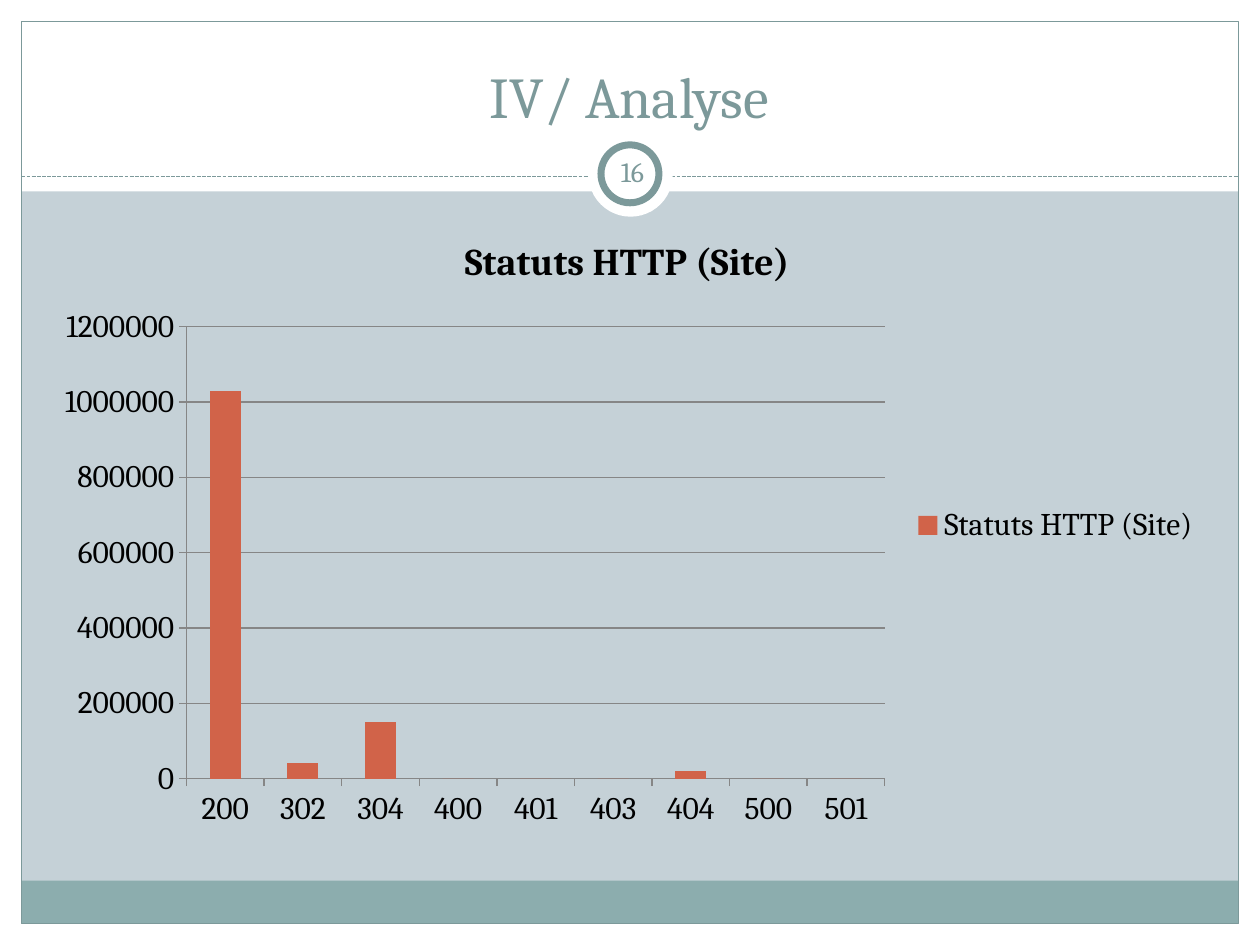
from pptx import Presentation
from pptx import util as u
from pptx.chart.data import CategoryChartData
from pptx.dml.color import RGBColor
from pptx.enum import chart as ch, dml, shapes, text
from pptx.oxml.ns import qn
from lxml import etree

WHITE = RGBColor(0xFF, 0xFF, 0xFF)
BLACK = RGBColor(0, 0, 0)
BACKGROUND = RGBColor(0xC5, 0xD1, 0xD7)
TEAL = RGBColor(0x7C, 0x99, 0x9A)
BAND = RGBColor(0x8C, 0xAD, 0xAE)
GRID = RGBColor(0x86, 0x86, 0x86)
BAR = RGBColor(0xD1, 0x63, 0x49)
FONT = "Cambria"
RECT = shapes.MSO_SHAPE.RECTANGLE
OVAL = shapes.MSO_SHAPE.OVAL
STATUSES = {"200": 1030000, "302": 40000, "304": 150000, "400": 0, "401": 0,
            "403": 0, "404": 20000, "500": 0, "501": 0}


def set_attrs(obj, **values):
    for name, value in values.items():
        setattr(obj, name, value)


def set_font(font, size, color, **extra):
    set_attrs(font, name=FONT, size=u.Pt(size), **extra)
    font.color.rgb = color


def set_line(line, color, width=0.75):
    line.color.rgb = color
    line.width = u.Pt(width)


def add_box(slide, kind, at, fill=None, line=None, width=0.75):
    sp = slide.shapes.add_shape(kind, *map(u.Inches, at))
    sp.shadow.inherit = False
    if fill is None:
        sp.fill.background()
    else:
        sp.fill.solid()
        sp.fill.fore_color.rgb = fill
    if line is None:
        sp.line.fill.background()
    else:
        set_line(sp.line, line, width)
    return sp


def add_dashed_line(slide, x1, y1, x2, y2):
    sp = slide.shapes.add_connector(shapes.MSO_CONNECTOR.STRAIGHT,
                                    *map(u.Inches, (x1, y1, x2, y2)))
    set_line(sp.line, TEAL)
    sp.line.dash_style = dml.MSO_LINE.SQUARE_DOT
    etree.SubElement(sp._element.spPr, qn("a:effectLst"))


def write_text(sp, content, size, anchor, margin):
    tf = sp.text_frame
    set_attrs(tf, word_wrap=True, auto_size=text.MSO_AUTO_SIZE.NONE,
              vertical_anchor=anchor)
    for side in ("left", "top", "right", "bottom"):
        setattr(tf, "margin_" + side, u.Inches(margin))
    p = tf.paragraphs[0]
    p.alignment = text.PP_ALIGN.CENTER
    r = p.add_run()
    r.text = content
    set_font(r.font, size, TEAL)


def add_frame(slide):
    for at in ((0, 7.33, 10, 0.17), (0, 0, 10, 1.52),
               (0, 0, 0.17, 7.5), (9.83, 0, 0.17, 7.5)):
        add_box(slide, RECT, at, WHITE)
    add_box(slide, RECT, (0.17, 6.99, 9.66, 0.34), BAND)
    add_box(slide, RECT, (0.17, 0.17, 9.66, 7.16), line=TEAL)
    add_dashed_line(slide, 0.17, 1.4, 9.83, 1.4)
    add_box(slide, OVAL, (4.67, 1.05, 0.67, 0.67), WHITE)
    add_box(slide, OVAL, (4.77, 1.15, 0.46, 0.46), WHITE, TEAL, 4)


def add_title(slide, content):
    sp = slide.shapes.title
    set_attrs(sp, left=u.Inches(0.33), top=u.Inches(0.25),
              width=u.Inches(9.33), height=u.Inches(0.83))
    write_text(sp, content, 33, text.MSO_ANCHOR.BOTTOM, 0.05)
    slide.shapes._spTree.append(sp._element)


def add_number(slide, content):
    sp = slide.shapes.add_textbox(*map(u.Inches, (4.77, 1.12, 0.5, 0.48)))
    write_text(sp, content, 16, text.MSO_ANCHOR.MIDDLE, 0.05)


def add_status_chart(slide, name):
    data = CategoryChartData()
    data.categories = list(STATUSES)
    data.add_series(name, list(STATUSES.values()))
    chart = slide.shapes.add_chart(
        ch.XL_CHART_TYPE.COLUMN_CLUSTERED,
        *map(u.Inches, (0.33, 1.67, 9.3, 5)), data).chart
    set_font(chart.font, 18, BLACK)
    set_attrs(chart, has_title=True, has_legend=True)
    chart.chart_title.include_in_layout = False
    tf = chart.chart_title.text_frame
    tf.text = name
    set_font(tf.paragraphs[0].runs[0].font, 21.6, BLACK, bold=True)
    set_attrs(chart.legend, position=ch.XL_LEGEND_POSITION.RIGHT,
              include_in_layout=False)
    for axis in (chart.category_axis, chart.value_axis):
        set_attrs(axis, major_tick_mark=ch.XL_TICK_MARK.OUTSIDE,
                  minor_tick_mark=ch.XL_TICK_MARK.NONE)
        set_line(axis.format.line, GRID)
    set_attrs(chart.value_axis, has_major_gridlines=True,
              minimum_scale=0, maximum_scale=1200000, major_unit=200000)
    set_line(chart.value_axis.major_gridlines.format.line, GRID)
    plot = chart.plots[0]
    set_attrs(plot, gap_width=150, vary_by_categories=False)
    fill = plot.series[0].format.fill
    fill.solid()
    fill.fore_color.rgb = BAR


def main():
    prs = Presentation()
    set_attrs(prs, slide_width=u.Inches(10), slide_height=u.Inches(7.5))
    slide = prs.slides.add_slide(prs.slide_layouts[5])
    slide.background.fill.solid()
    slide.background.fill.fore_color.rgb = BACKGROUND
    add_frame(slide)
    add_title(slide, "IV/ Analyse")
    add_number(slide, "16")
    add_status_chart(slide, "Statuts HTTP (Site)")
    prs.save("out.pptx")


main()
